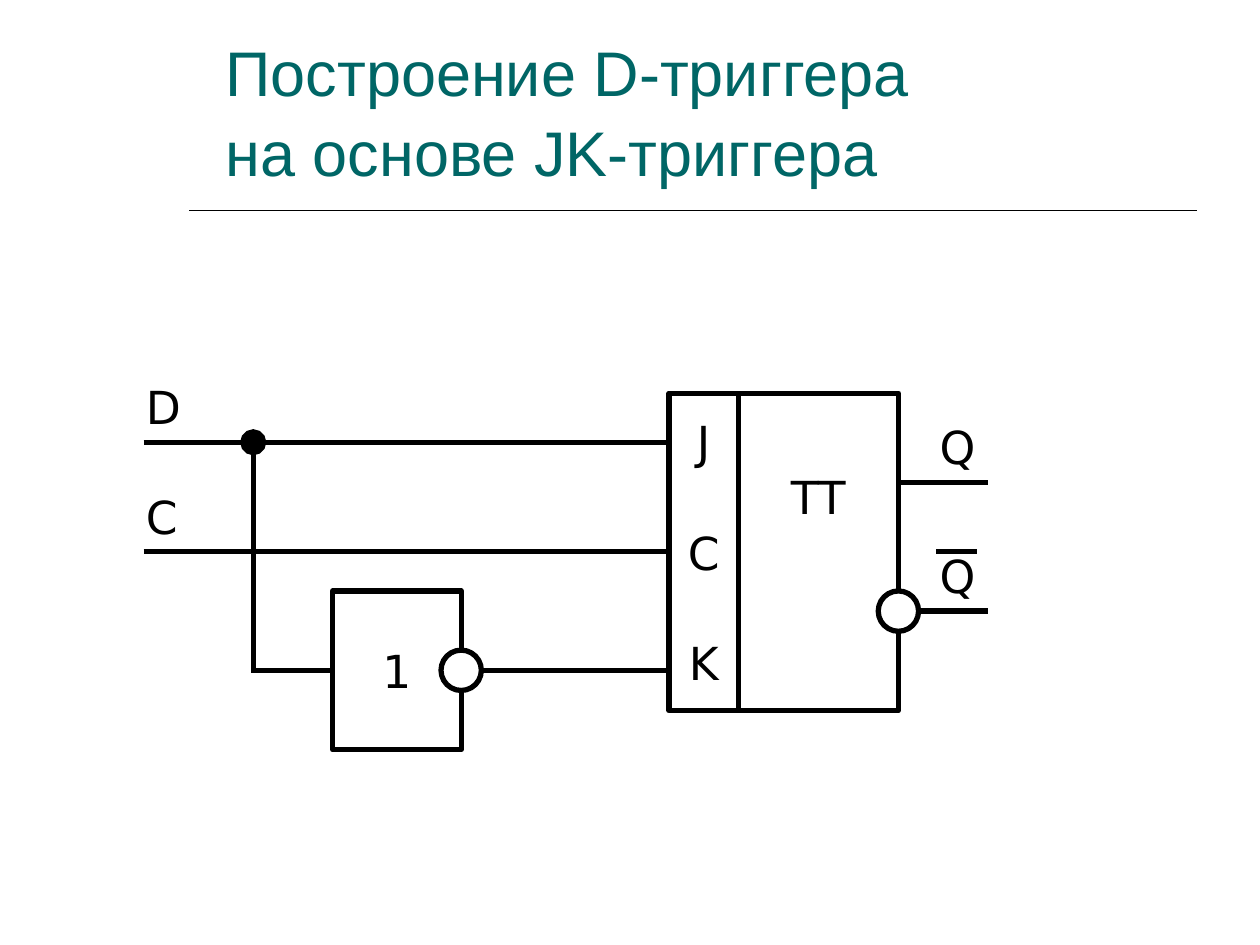
from lxml.etree import SubElement
from pptx import Presentation
from pptx.dml.color import RGBColor
from pptx.enum.shapes import MSO_CONNECTOR, MSO_SHAPE
from pptx.enum.text import MSO_ANCHOR, MSO_AUTO_SIZE, PP_ALIGN
from pptx.oxml.ns import qn
from pptx.util import Inches, Pt

COLORS = {"title": "006666", "ink": "000000", "paper": "FFFFFF"}
TITLE_FONT = {"name": "Arial", "size": Pt(36)}
LABEL_FONT = {"name": "DejaVu Sans", "size": Pt(26)}
BUBBLE = 0.32  # diameter of an inversion circle


def color(name):
    return RGBColor.from_string(COLORS[name])


def format_paragraph(paragraph, font_values, color_name, alignment):
    paragraph.alignment = alignment
    for name, value in font_values.items():
        setattr(paragraph.font, name, value)
    paragraph.font.color.rgb = color(color_name)


def add_line(slide, start, end, width=3, dot=False):
    line = slide.shapes.add_connector(
        MSO_CONNECTOR.STRAIGHT, *(Inches(value) for value in (*start, *end)))
    line.line.color.rgb = color("ink")
    line.line.width = Pt(width)
    if dot:
        SubElement(line.line._get_or_add_ln(), qn("a:tailEnd"),
                   type="oval", w="lg", len="lg")
    SubElement(line._element.spPr, qn("a:effectLst"))


def add_outlined(slide, kind, box):
    shape = slide.shapes.add_shape(kind, *(Inches(value) for value in box))
    shape.shadow.inherit = False
    shape.fill.solid()
    shape.fill.fore_color.rgb = color("paper")
    shape.line.color.rgb = color("ink")
    shape.line.width = Pt(3)
    return shape


def add_block(slide, box, lines, gap=0, bottom=0.05):
    frame = add_outlined(slide, MSO_SHAPE.RECTANGLE, box).text_frame
    frame.word_wrap = False
    frame.vertical_anchor = MSO_ANCHOR.MIDDLE
    frame.margin_bottom = Inches(bottom)
    for index, text in enumerate(lines):
        paragraph = frame.add_paragraph() if index else frame.paragraphs[0]
        paragraph.text = text
        if index:
            paragraph.space_before = Pt(gap)
        format_paragraph(paragraph, LABEL_FONT, "ink", PP_ALIGN.CENTER)


def add_bubble(slide, x, y):
    add_outlined(slide, MSO_SHAPE.OVAL,
                 (x - BUBBLE / 2, y - BUBBLE / 2, BUBBLE, BUBBLE))


def add_label(slide, x, line_y, text):
    """Place a signal name just above its line."""
    box = slide.shapes.add_textbox(
        Inches(x), Inches(line_y - 0.55), Inches(0.71), Inches(0.54))
    box.text_frame.word_wrap = True
    paragraph = box.text_frame.paragraphs[0]
    paragraph.text = text
    format_paragraph(paragraph, LABEL_FONT, "ink", PP_ALIGN.LEFT)


def add_title(slide, left, top, width, height):
    title = slide.shapes.title
    title.left, title.top = Inches(left), Inches(top)
    title.width, title.height = Inches(width), Inches(height)
    frame = title.text_frame
    frame.text = "Построение D-триггера \vна основе JK-триггера"
    frame.word_wrap = True
    frame.auto_size = MSO_AUTO_SIZE.NONE
    frame.vertical_anchor = MSO_ANCHOR.BOTTOM
    paragraph = frame.paragraphs[0]
    paragraph.line_spacing = 1.05
    format_paragraph(paragraph, TITLE_FONT, "title", PP_ALIGN.LEFT)
    # Rule below the title
    add_line(slide, (1.5, 1.67), (9.5, 1.67), width=1)


def add_flip_flop(slide, left, top, width, height):
    input_width = 0.55
    right = left + width
    output_end = right + 0.71
    q_y, inverse_y = top + 0.71, top + 1.73
    add_block(slide, (left, top, input_width, height), ["J", "С", "K"], gap=32)
    add_block(slide, (left + input_width, top, width - input_width, height),
              ["TT"], bottom=0.93)
    # Direct and inverted outputs
    for y in (q_y, inverse_y):
        add_line(slide, (right, y), (output_end, y))
        add_label(slide, right + 0.23, y, "Q")
    add_bubble(slide, right, inverse_y)
    add_line(slide, (right + 0.3, inverse_y - 0.47),
             (right + 0.62, inverse_y - 0.47))


def add_inverter(slide, left, top, width, height, branch, target_x):
    right, middle = left + width, top + height / 2
    add_block(slide, (left, top, width, height), ["1"])
    add_line(slide, (right, middle), (target_x, middle))
    add_bubble(slide, right, middle)
    # Branch from the D line
    branch_x, branch_y = branch
    add_line(slide, (branch_x, middle + 0.02), (branch_x, branch_y), dot=True)
    add_line(slide, (branch_x, middle), (left, middle))


def add_inputs(slide, left, right, signals):
    for text, y in signals.items():
        add_line(slide, (left, y), (right, y))
        add_label(slide, left - 0.08, y, text)


def main():
    presentation = Presentation()
    presentation.slide_width = Inches(10)
    presentation.slide_height = Inches(7.5)
    slide = presentation.slides.add_slide(presentation.slide_layouts[5])
    add_title(slide, 1.69, 0.08, 7.84, 1.47)
    add_flip_flop(slide, 5.31, 3.12, 1.82, 2.52)
    add_inputs(slide, 1.14, 5.32, {"D": 3.51, "С": 4.38})
    add_inverter(slide, 2.64, 4.69, 1.02, 1.26, branch=(2.01, 3.51), target_x=5.32)
    presentation.save("out.pptx")


if __name__ == "__main__":
    main()
